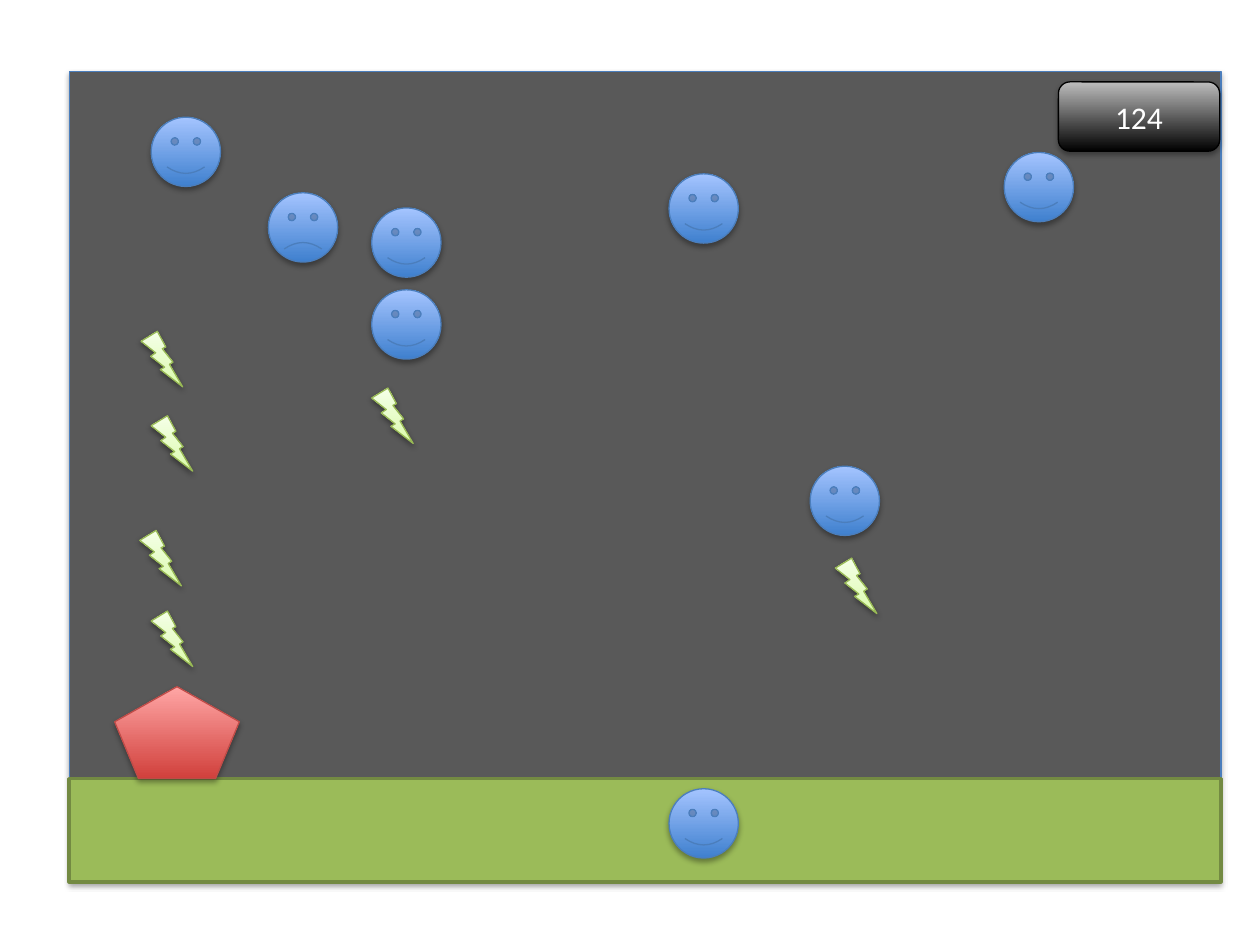
from lxml.etree import SubElement
from pptx import Presentation
from pptx.dml.color import RGBColor
from pptx.enum.shapes import MSO_SHAPE
from pptx.enum.text import MSO_ANCHOR, PP_ALIGN
from pptx.oxml.ns import qn
from pptx.util import Inches, Pt

SHADOW = {"opacity": 35, "blur": 3.15, "distance": 1.81}
FIELD = {"fill": "595959", "line": "4B7EBC", "shadow": SHADOW}
GROUND = {"fill": "9BBB59", "line": "738A42", "width": 2}
FACE = {"fill": [(0, "3F80CE"), (100, "A4C4FF")], "line": "4B7EBC", "shadow": SHADOW}
SHIP = {"fill": [(0, "D1403C"), (100, "FFA6A5")], "line": "BF4C48", "shadow": SHADOW}
BOLT = {"fill": [(0, "DAFDA7"), (35, "E4FCC2"), (100, "F5FFE7")], "line": "98B955",
        "shadow": {"opacity": 38, "blur": 3.15, "distance": 1.57}}
SCORE = {"fill": [(0, "000000"), (100, "BDBDBD")], "line": "000000", "shadow": SHADOW}

FACE_SIZE = (0.55, 0.55)
BOLT_SIZE = (0.33, 0.44)
# Offsets from the top left corner of the field
HAPPY_FACES = [(0.65, 0.36), (2.4, 1.08), (2.4, 1.73), (5.88, 3.13),
               (4.76, 0.81), (7.42, 0.64)]
SAD_FACE = (1.58, 0.96)
LANDED_FACE = (4.76, 5.69)
BOLTS = [(0.65, 4.28), (2.4, 2.51), (0.56, 3.64), (0.65, 2.73), (0.57, 2.06), (6.08, 3.86)]


def color(value):
    return RGBColor.from_string(value)


def add_gradient(shape, stops):
    """Fill the shape with colour stops running from bottom to top."""
    gradient = SubElement(shape._element.spPr, qn("a:gradFill"), rotWithShape="1")
    stop_list = SubElement(gradient, qn("a:gsLst"))
    for position, value in stops:
        stop = SubElement(stop_list, qn("a:gs"), pos=str(position * 1000))
        SubElement(stop, qn("a:srgbClr"), val=value)
    SubElement(gradient, qn("a:lin"), ang="16200000", scaled="0")


def add_shadow(shape, opacity, blur, distance):
    """Drop a black shadow straight down."""
    effects = shape._element.spPr.find(qn("a:effectLst"))
    shadow = SubElement(effects, qn("a:outerShdw"), blurRad=str(Pt(blur)),
                        dist=str(Pt(distance)), dir="5400000", rotWithShape="0")
    black = SubElement(shadow, qn("a:srgbClr"), val="000000")
    SubElement(black, qn("a:alpha"), val=str(opacity * 1000))


def add_piece(group, kind, box, style):
    shape = group.shapes.add_shape(kind, *map(Inches, box))
    if isinstance(style["fill"], str):
        shape.fill.solid()
        shape.fill.fore_color.rgb = color(style["fill"])
    else:
        add_gradient(shape, style["fill"])
    shape.line.color.rgb = color(style["line"])
    shape.line.width = Pt(style.get("width", 0.75))
    shape.shadow.inherit = False
    if "shadow" in style:
        add_shadow(shape, **style["shadow"])
    return shape


def add_field(group, box):
    left, top, width, height = box
    ground_height = 0.82
    add_piece(group, MSO_SHAPE.RECTANGLE, box, FIELD)
    add_piece(group, MSO_SHAPE.RECTANGLE,
              (left, top + height - ground_height, width, ground_height), GROUND)


def add_pieces(group, kind, box, offsets, size, style):
    """Place equal pieces at offsets from the corner of the box."""
    left, top = box[:2]
    return [add_piece(group, kind, (left + x, top + y, *size), style) for x, y in offsets]


def add_score(group, box, text):
    shape = add_piece(group, MSO_SHAPE.ROUNDED_RECTANGLE, box, SCORE)
    shape.text_frame.vertical_anchor = MSO_ANCHOR.MIDDLE
    para = shape.text_frame.paragraphs[0]
    para.alignment = PP_ALIGN.CENTER
    span = para.add_run()
    span.text = text
    for name, value in {"name": "Calibri", "size": Pt(18)}.items():
        setattr(span.font, name, value)
    span.font.color.rgb = color("FFFFFF")


def add_game(page, box):
    left, top, width, _ = box
    group = page.shapes.add_group_shape()
    add_field(group, box)
    add_pieces(group, MSO_SHAPE.SMILEY_FACE, box, HAPPY_FACES, FACE_SIZE, FACE)
    sad_face = add_pieces(group, MSO_SHAPE.SMILEY_FACE, box, [SAD_FACE], FACE_SIZE, FACE)[0]
    sad_face.adjustments[0] = -0.05
    add_piece(group, MSO_SHAPE.REGULAR_PENTAGON, (left + 0.36, top + 4.88, 0.99, 0.73), SHIP)
    add_pieces(group, MSO_SHAPE.LIGHTNING_BOLT, box, BOLTS, BOLT_SIZE, BOLT)
    add_score(group, (left + width - 1.29, top + 0.08, 1.28, 0.55), "124")
    add_pieces(group, MSO_SHAPE.SMILEY_FACE, box, [LANDED_FACE], FACE_SIZE, FACE)


def main():
    deck = Presentation()
    deck.slide_width, deck.slide_height = Inches(10), Inches(7.5)
    page = deck.slides.add_slide(deck.slide_layouts[6])
    add_game(page, (0.55, 0.57, 9.14, 6.43))
    deck.save("out.pptx")


if __name__ == "__main__":
    main()
